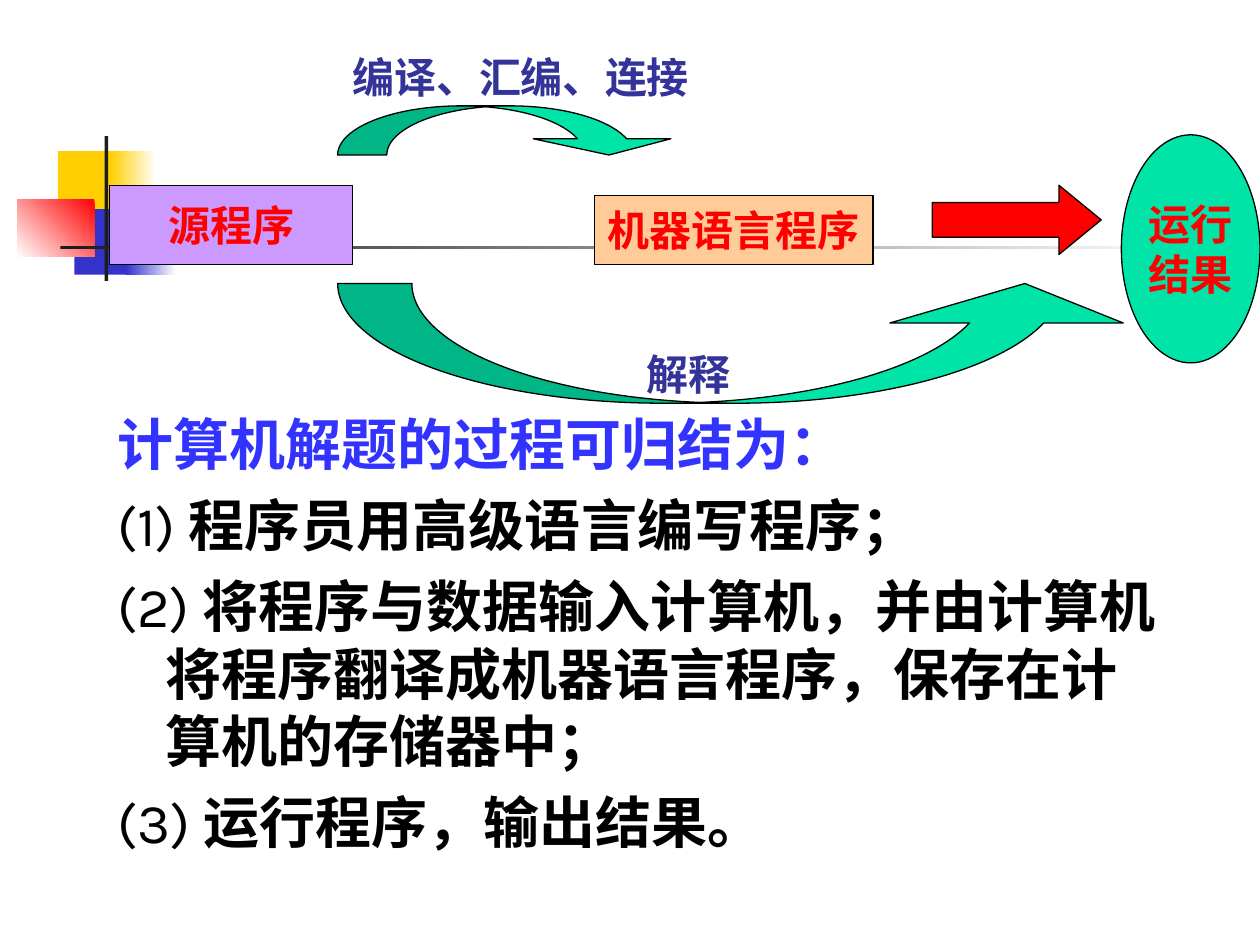
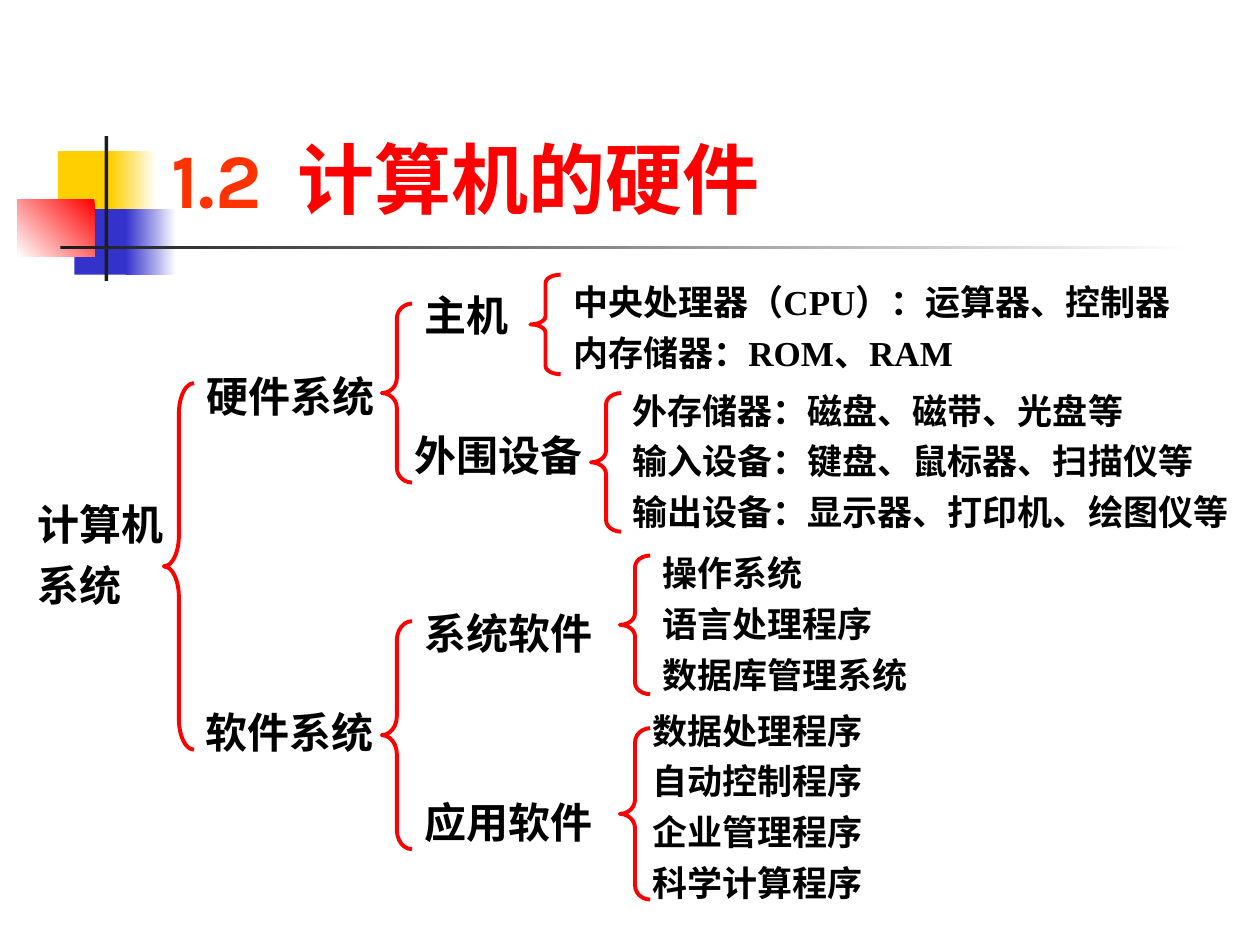
from lxml.etree import SubElement
from pptx import Presentation
from pptx.dml.color import RGBColor
from pptx.enum.lang import MSO_LANGUAGE_ID as Language
from pptx.enum.shapes import MSO_SHAPE as Preset
from pptx.enum.text import MSO_ANCHOR as Anchor, MSO_AUTO_SIZE as AutoSize, PP_ALIGN as Align
from pptx.oxml.ns import qn
from pptx.util import Inches, Pt

COLORS = {
    "white": "FFFFFF", "black": "000000", "red": "FF0000", "orange_red": "FF3300",
    "yellow": "FFCF01", "blue": "3333CC", "charcoal": "1C1C1C", "heading": "3333FF",
    "caption": "333399", "violet": "CC99FF", "peach": "FFCC99", "mint": "00E4A8",
}

MOTIF = [
    ((0.46, 1.2, 0.48, 0.52), "yellow", None),
    ((0.88, 1.2, 0.36, 0.52), "yellow", 0),
    ((0.59, 1.66, 0.46, 0.52), "blue", None),
    ((1, 1.66, 0.4, 0.52), "blue", 0),
    ((0.14, 1.58, 0.61, 0.46), "red", 225),
    ((0.83, 1.08, 0.03, 1.15), "charcoal", None),
    ((0.48, 1.95, 9, 0.03), "charcoal", 0),
]

STEPS = [
    [("计算机解题的过程可归结为：", {"color": "heading"})],
    [("(1) ", {"bold": False}), ("程序员用高级语言编写程序；", {})],
    [("(2) ", {"bold": False}),
     ("将程序与数据输入计算机，并由计算机将程序翻译成机器语言程序，保存在计算机的存储器中；", {})],
    [("(3) ", {"bold": False}), ("运行程序，输出结果。", {})],
]

CATEGORIES = [
    ((0.2, 3.91, 1.42, 0.99), ["计算机", "系统"]),
    ((1.54, 2.89, 1.65, 0.5), ["硬件系统"]),
    ((1.53, 5.56, 1.65, 0.5), ["软件系统"]),
    ((3.27, 2.25, 1.02, 0.5), ["主机"]),
    ((3.19, 3.36, 1.65, 0.5), ["外围设备"]),
    ((3.27, 4.77, 1.57, 0.5), ["系统软件"]),
    ((3.27, 6.27, 1.65, 0.5), ["应用软件"]),
]

DETAILS = [
    ((4.45, 2.18, 5.2, 0.84), ["中央处理器（CPU）：运算器、控制器", "内存储器：ROM、RAM"]),
    ((4.92, 3.04, 5.08, 1.24), ["外存储器：磁盘、磁带、光盘等",
                                "输入设备：键盘、鼠标器、扫描仪等",
                                "输出设备：显示器、打印机、绘图仪等"]),
    ((5.16, 4.33, 2.28, 1.24), ["操作系统", "语言处理程序", "数据库管理系统"]),
    ((5.08, 5.58, 2.05, 1.64), ["数据处理程序", "自动控制程序", "企业管理程序", "科学计算程序"]),
]

BRACES = [
    (1.3, 3.04, 2.91), (3.03, 2.41, 1.42), (3.03, 4.93, 1.81), (4.21, 2.18, 0.79),
    (4.69, 3.12, 1.1), (4.92, 4.41, 1.1), (4.92, 5.78, 1.36),
]


def rgb(name):
    return RGBColor.from_string(COLORS[name])


def write(frame, text, size=24, font="Arial", color="black", bold=True,
          align=Align.LEFT, before=0, hanging=0, tab=None):
    for index, line in enumerate(text):
        paragraph = frame.paragraphs[0] if index == 0 else frame.add_paragraph()
        properties = paragraph._p.get_or_add_pPr()
        properties.set("marL", str(Inches(hanging)))
        properties.set("indent", str(-Inches(hanging)))
        SubElement(properties, qn("a:buNone"))
        if tab:
            stops = SubElement(properties, qn("a:tabLst"))
            SubElement(stops, qn("a:tab"), pos=str(Inches(tab)), algn="l")
        paragraph.alignment = align
        paragraph.line_spacing = 1.0
        paragraph.space_before = Pt(before if index else 0)
        for words, changes in [(line, {})] if isinstance(line, str) else line:
            run = paragraph.add_run()
            run.text = words
            run.font.name = font
            run.font.size = Pt(size)
            run.font.bold = changes.get("bold", bold)
            run.font.color.rgb = rgb(changes.get("color", color))
            run.font.language_id = Language.SIMPLIFIED_CHINESE


class Deck:
    def __init__(self):
        self.presentation = Presentation()
        self.presentation.slide_width = Inches(10)
        self.presentation.slide_height = Inches(7.5)
        self.slide = None

    def new_slide(self, layout):
        self.slide = self.presentation.slides.add_slide(self.presentation.slide_layouts[layout])
        tree = self.slide.shapes.element
        for index, (box, color, angle) in enumerate(MOTIF):
            shape = self.shape(Preset.RECTANGLE, box, color)
            if angle is not None:
                shape.fill.gradient()
                shape.fill.gradient_angle = angle
                for stop, name in zip(shape.fill.gradient_stops, (color, "white")):
                    stop.color.rgb = rgb(name)
            tree.insert(2 + index, shape.element)

    def shape(self, preset, box, fill=None, line=None, width=0.75, adjustments=()):
        shape = self.slide.shapes.add_shape(preset, *map(Inches, box))
        shape.shadow.inherit = False
        if fill:
            shape.fill.solid()
            shape.fill.fore_color.rgb = rgb(fill)
        else:
            shape.fill.background()
        if line:
            shape.line.color.rgb = rgb(line)
            shape.line.width = Pt(width)
        else:
            shape.line.fill.background()
        for index, value in enumerate(adjustments):
            shape.adjustments[index] = value
        return shape

    def node(self, preset, box, fill, text):
        frame = self.shape(preset, box, fill, "black").text_frame
        frame.word_wrap = False
        frame.vertical_anchor = Anchor.MIDDLE
        write(frame, text, color="red", align=Align.CENTER)

    def label(self, box, text, **style):
        frame = self.slide.shapes.add_textbox(*map(Inches, box)).text_frame
        frame.word_wrap = True
        write(frame, text, **style)

    def placeholder(self, shape, box, text, anchor, **style):
        shape.left, shape.top, shape.width, shape.height = map(Inches, box)
        frame = shape.text_frame
        frame.auto_size = AutoSize.NONE
        frame.word_wrap = True
        frame.vertical_anchor = anchor
        write(frame, text, font="Karla", **style)

    def brace(self, left, top, height, width=0.24):
        self.shape(Preset.LEFT_BRACE, (left, top, width, height), line="red", width=2.25,
                   adjustments=(height / width / 12, 0.5))


def build_process(deck):
    deck.new_slide(1)
    title, body = deck.slide.placeholders
    title.element.getparent().remove(title.element)
    deck.placeholder(body, (0.83, 3.2, 8.5, 4.5), STEPS, Anchor.TOP,
                     size=32, before=8, hanging=0.38)
    deck.node(Preset.RECTANGLE, (0.87, 1.47, 1.93, 0.63), "violet", ["源程序"])
    deck.node(Preset.RECTANGLE, (4.72, 1.55, 2.21, 0.55), "peach", ["机器语言程序"])
    deck.node(Preset.OVAL, (8.9, 1.07, 1.1, 1.81), "mint", ["运行", "结果"])
    deck.shape(Preset.RIGHT_ARROW, (7.4, 1.47, 1.34, 0.55), "red", "black",
               adjustments=(0.5, 0.61))
    deck.shape(Preset.CURVED_UP_ARROW, (2.68, 2.25, 6.38, 0.95), "mint", "black",
               adjustments=(0.62, 1.95, 0.33))
    deck.shape(Preset.CURVED_DOWN_ARROW, (2.68, 0.84, 2.7, 0.39), "mint", "black",
               adjustments=(1.42, 2.8, 0.33))
    for box, text in (((2.52, 0.36, 3.23, 0.5), "编译、汇编、连接"),
                      ((4.72, 2.72, 1.49, 0.5), "解释")):
        deck.label(box, [text], color="caption", align=Align.CENTER)


def build_hardware(deck):
    deck.new_slide(5)
    heading = [[("1.2\t", {"color": "orange_red"}), ("计算机的硬件", {})]]
    deck.placeholder(deck.slide.shapes.title, (1.26, 0.23, 8.52, 1.6), heading,
                     Anchor.BOTTOM, size=44, color="red", tab=1.17)
    for labels, size, before in ((CATEGORIES, 24, 6), (DETAILS, 20, 5)):
        for box, text in labels:
            deck.label(box, text, size=size, before=before, font="Times New Roman")
    for brace in BRACES:
        deck.brace(*brace)


def main():
    deck = Deck()
    build_process(deck)
    build_hardware(deck)
    deck.presentation.save("out.pptx")


if __name__ == "__main__":
    main()
